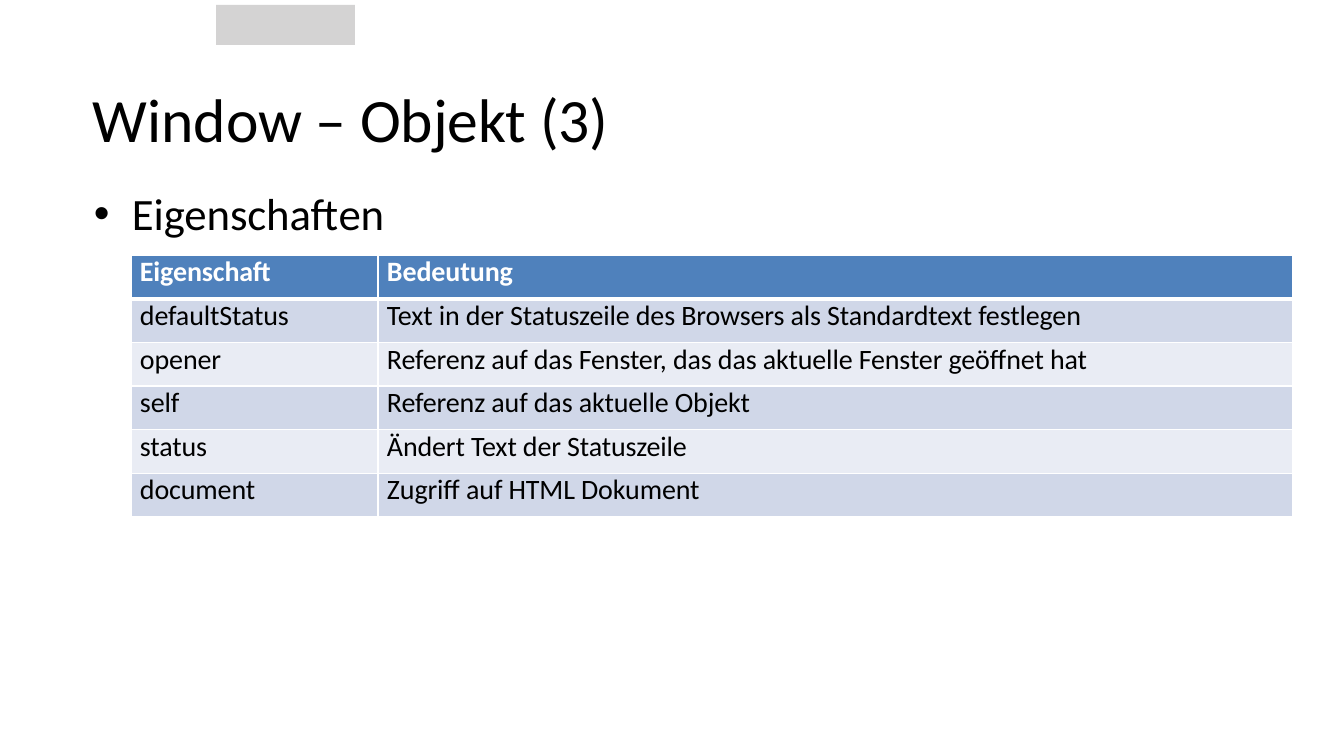
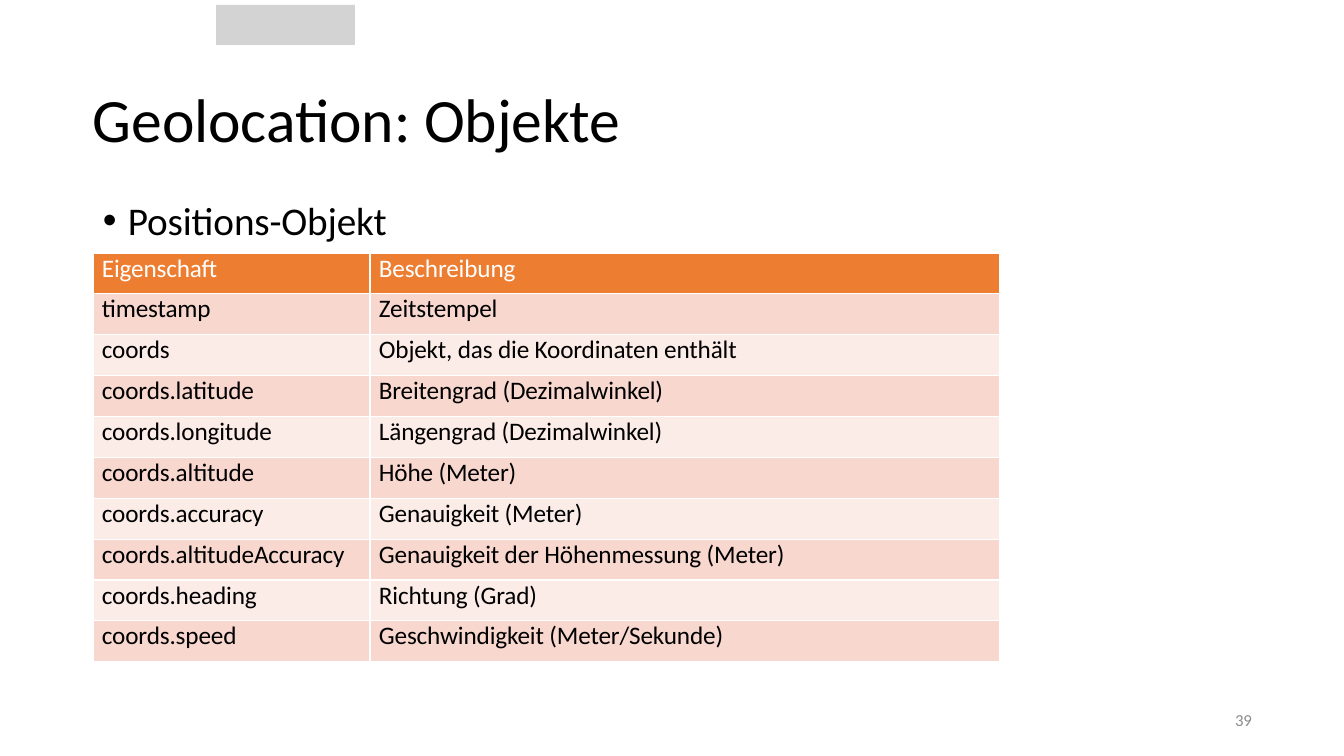
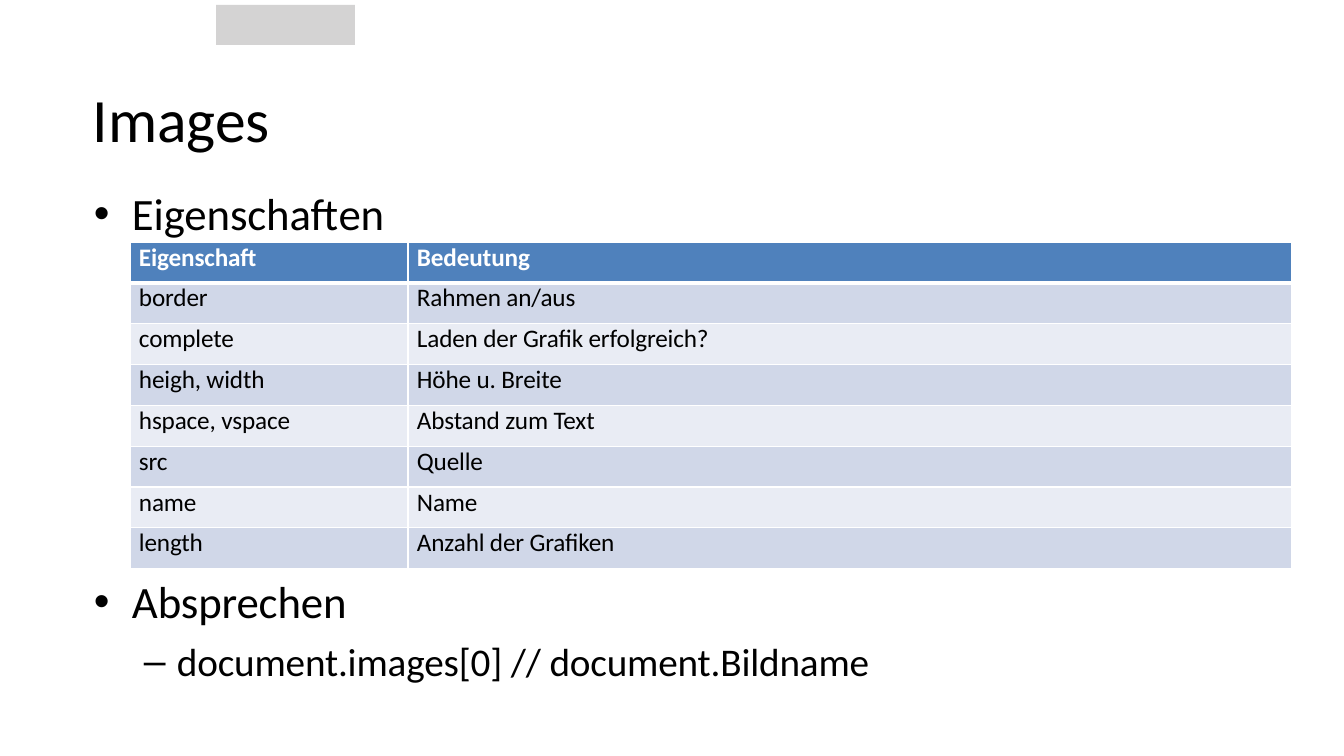
from dataclasses import dataclass

from lxml.etree import SubElement
from pptx import Presentation
from pptx.dml.color import RGBColor
from pptx.enum.shapes import MSO_SHAPE
from pptx.enum.text import MSO_ANCHOR, PP_ALIGN
from pptx.oxml.ns import qn
from pptx.util import Pt

# Shared style: lengths are pixels, text sizes and line widths are points
EMU_PER_PIXEL = 914400 / 100.8
FONT = "Calibri"
BULLET_FONT = "Arial"
BLACK, WHITE, GREY, BAND = "000000", "FFFFFF", "8C8C8C", "D4D3D3"
LETTER_SPACING = "-10"
LEFT = 93
CELL_INDENT = 9


@dataclass(frozen=True)
class Box:
    left: int
    top: int
    width: int
    height: int

    def emu(self):
        return [px(length) for length in (self.left, self.top, self.width, self.height)]


@dataclass(frozen=True)
class BulletStyle:
    character: str
    size: int
    margin: int
    hanging: int
    space_before: float = 0
    line_spacing: float = 1


@dataclass(frozen=True)
class TableStyle:
    header: str
    bands: tuple[str, str]
    bold_header: bool
    header_rule: int


@dataclass(frozen=True)
class TableContent:
    left: int
    top: int
    height: int
    columns: tuple[int, int]
    size: int
    style: TableStyle
    rows: list[tuple[str, str]]


MAIN_POINT = BulletStyle("•", 32, 39, 38)
SUB_POINT = BulletStyle("–", 28, 84, 33, space_before=6.8)
SPACED_POINT = BulletStyle("•", 28, 25, 25, space_before=10, line_spacing=1.5)
BLUE_TABLE = TableStyle("4F81BC", ("D0D7E8", "E9ECF4"), True, 3)
ORANGE_TABLE = TableStyle("ED7D31", ("F8D7CE", "FCECE8"), False, 1)

TITLE_BOX = Box(LEFT, 50, 1159, 136)
HEADING_BOX = Box(LEFT, 186, 295, 57)
BAND_BOX = Box(216, 5, 139, 40)
NUMBER_BOX = Box(950, 701, 302, 40)


def px(length: float) -> int:
    return round(length * EMU_PER_PIXEL)


def color(value: str) -> RGBColor:
    return RGBColor.from_string(value)


def format_runs(paragraph, size: int, text_color: str, bold: bool = False) -> None:
    for run in paragraph.runs:
        run.font.name = FONT
        run.font.size = Pt(size)
        run.font.bold = bold
        run.font.color.rgb = color(text_color)
        run.font._element.set("spc", LETTER_SPACING)


def add_text_frame(slide, box: Box, inset: tuple[int, int] = (0, 0)):
    frame = slide.shapes.add_textbox(*box.emu()).text_frame
    frame.word_wrap = True
    frame.margin_left = frame.margin_right = px(inset[0])
    frame.margin_top = frame.margin_bottom = px(inset[1])
    return frame


def add_title(slide, title: str) -> None:
    frame = add_text_frame(slide, TITLE_BOX)
    frame.vertical_anchor = MSO_ANCHOR.MIDDLE
    frame.text = title
    format_runs(frame.paragraphs[0], 44, BLACK)


def add_slide(presentation, title: str):
    slide = presentation.slides.add_slide(presentation.slide_layouts[6])
    band = slide.shapes.add_shape(MSO_SHAPE.RECTANGLE, *BAND_BOX.emu())
    band.shadow.inherit = False
    band.fill.solid()
    band.fill.fore_color.rgb = color(BAND)
    band.line.fill.background()
    add_title(slide, title)
    return slide


def add_bullets(slide, box: Box, points: list[tuple[str, BulletStyle]],
                inset: tuple[int, int] = (0, 0)) -> None:
    frame = add_text_frame(slide, box, inset)
    frame.text = "\n".join(text for text, _ in points)
    for paragraph, (_, style) in zip(frame.paragraphs, points):
        paragraph.space_before = Pt(style.space_before)
        paragraph.line_spacing = style.line_spacing
        format_runs(paragraph, style.size, BLACK)
        properties = paragraph._p.get_or_add_pPr()
        properties.set("marL", str(px(style.margin)))
        properties.set("indent", str(-px(style.hanging)))
        SubElement(properties, qn("a:buFont"), typeface=BULLET_FONT)
        SubElement(properties, qn("a:buChar"), char=style.character)


def add_page_number(slide, number: int) -> None:
    frame = add_text_frame(slide, NUMBER_BOX)
    frame.vertical_anchor = MSO_ANCHOR.MIDDLE
    frame.text = str(number)
    paragraph = frame.paragraphs[0]
    paragraph.alignment = PP_ALIGN.RIGHT
    paragraph.line_spacing = Pt(12.4)
    format_runs(paragraph, 12, GREY)


def set_borders(cell, top: int, bottom: int) -> None:
    properties = cell._tc.get_or_add_tcPr()
    for side, width in (("L", 1), ("R", 1), ("T", top), ("B", bottom)):
        line = SubElement(properties, qn(f"a:ln{side}"), w=str(Pt(width)))
        fill = SubElement(line, qn("a:solidFill"))
        SubElement(fill, qn("a:srgbClr"), val=WHITE)


def add_property_table(slide, content: TableContent) -> None:
    style = content.style
    box = Box(content.left, content.top, sum(content.columns), content.height)
    table = slide.shapes.add_table(len(content.rows), len(content.columns), *box.emu()).table
    for column, width in zip(table.columns, content.columns):
        column.width = px(width)
    for row_index, texts in enumerate(content.rows):
        is_header = row_index == 0
        for column_index, text in enumerate(texts):
            cell = table.cell(row_index, column_index)
            cell.margin_left = px(CELL_INDENT)
            cell.margin_right = cell.margin_top = cell.margin_bottom = 0
            set_borders(cell,
                        top=style.header_rule if row_index == 1 else 1,
                        bottom=style.header_rule if is_header else 1)
            cell.fill.solid()
            cell.fill.fore_color.rgb = color(
                style.header if is_header else style.bands[(row_index - 1) % 2])
            cell.text = text
            paragraph = cell.text_frame.paragraphs[0]
            paragraph.space_before = Pt(0.9 if row_index == 1 else 1.9)
            format_runs(paragraph, content.size, WHITE if is_header else BLACK,
                        is_header and style.bold_header)


# Table contents
WINDOW_TABLE = TableContent(131, 255, 262, (247, 915), 20, BLUE_TABLE, [
    ("Eigenschaft", "Bedeutung"),
    ("defaultStatus", "Text in der Statuszeile des Browsers als Standardtext festlegen"),
    ("opener", "Referenz auf das Fenster, das das aktuelle Fenster geöffnet hat"),
    ("self", "Referenz auf das aktuelle Objekt"),
    ("status", "Ändert Text der Statuszeile"),
    ("document", "Zugriff auf HTML Dokument"),
])
POSITION_TABLE = TableContent(LEFT, 253, 409, (277, 630), 18, ORANGE_TABLE, [
    ("Eigenschaft", "Beschreibung"),
    ("timestamp", "Zeitstempel"),
    ("coords", "Objekt, das die Koordinaten enthält"),
    ("coords.latitude", "Breitengrad (Dezimalwinkel)"),
    ("coords.longitude", "Längengrad (Dezimalwinkel)"),
    ("coords.altitude", "Höhe (Meter)"),
    ("coords.accuracy", "Genauigkeit (Meter)"),
    ("coords.altitudeAccuracy", "Genauigkeit der Höhenmessung (Meter)"),
    ("coords.heading", "Richtung (Grad)"),
    ("coords.speed", "Geschwindigkeit (Meter/Sekunde)"),
])
IMAGES_TABLE = TableContent(130, 242, 327, (278, 884), 18, BLUE_TABLE, [
    ("Eigenschaft", "Bedeutung"),
    ("border", "Rahmen an/aus"),
    ("complete", "Laden der Grafik erfolgreich?"),
    ("heigh, width", "Höhe u. Breite"),
    ("hspace, vspace", "Abstand zum Text"),
    ("src", "Quelle"),
    ("name", "Name"),
    ("length", "Anzahl der Grafiken"),
])

presentation = Presentation()
presentation.slide_width = px(1344)
presentation.slide_height = px(756)

# Window object
window_slide = add_slide(presentation, "Window – Objekt (3)")
add_bullets(window_slide, HEADING_BOX, [("Eigenschaften", MAIN_POINT)])
add_property_table(window_slide, WINDOW_TABLE)

# Geolocation objects
geolocation_slide = add_slide(presentation, "Geolocation: Objekte")
add_bullets(geolocation_slide, Box(LEFT, 168, 1159, 512),
            [("Positions-Objekt", SPACED_POINT)], inset=(10, 5))
add_page_number(geolocation_slide, 39)
add_property_table(geolocation_slide, POSITION_TABLE)

# Images
images_slide = add_slide(presentation, "Images")
add_bullets(images_slide, HEADING_BOX, [("Eigenschaften", MAIN_POINT)])
add_bullets(images_slide, Box(LEFT, 574, 784, 114), [
    ("Absprechen", MAIN_POINT),
    ("document.images[0] // document.Bildname", SUB_POINT),
])
add_property_table(images_slide, IMAGES_TABLE)

presentation.save("out.pptx")
